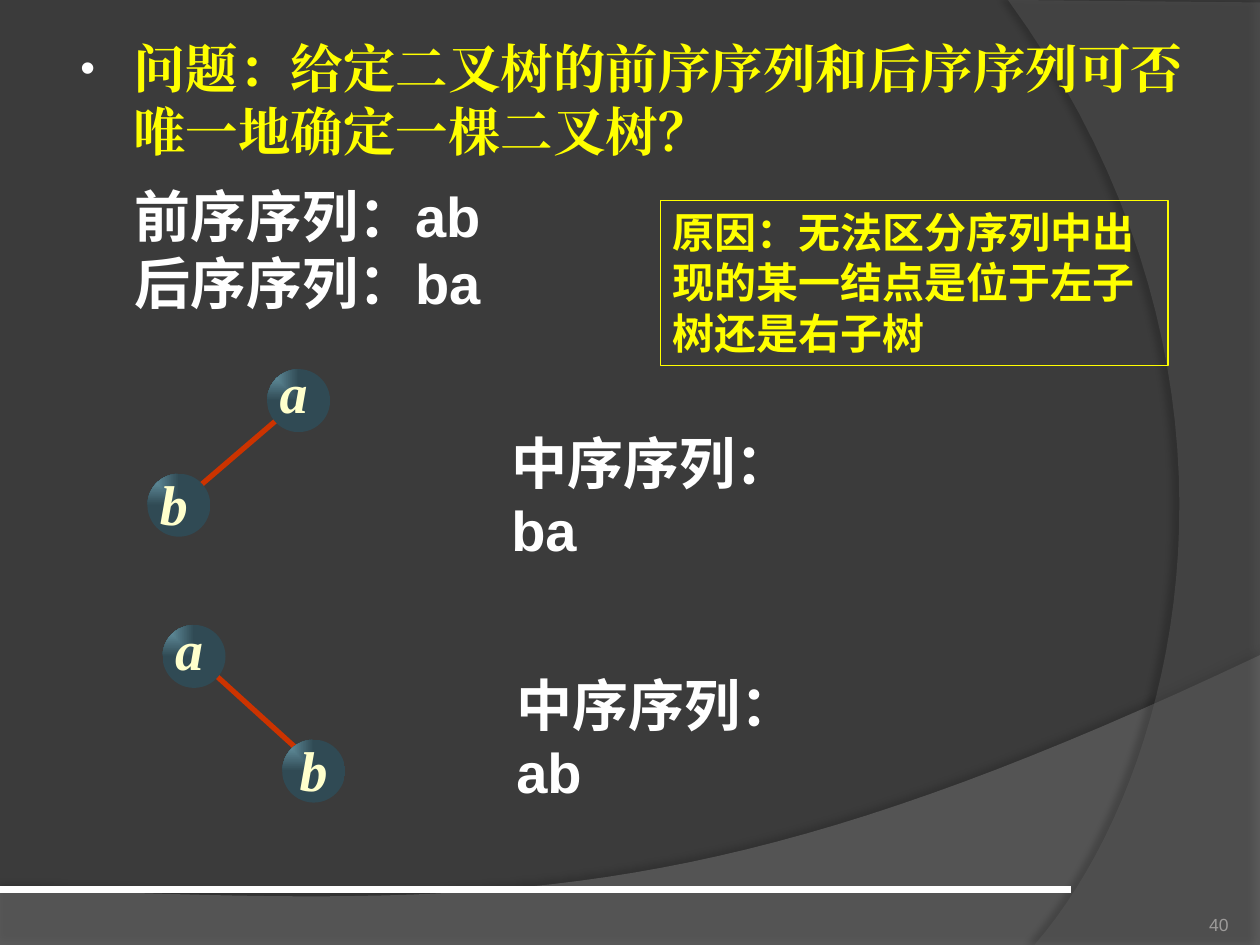
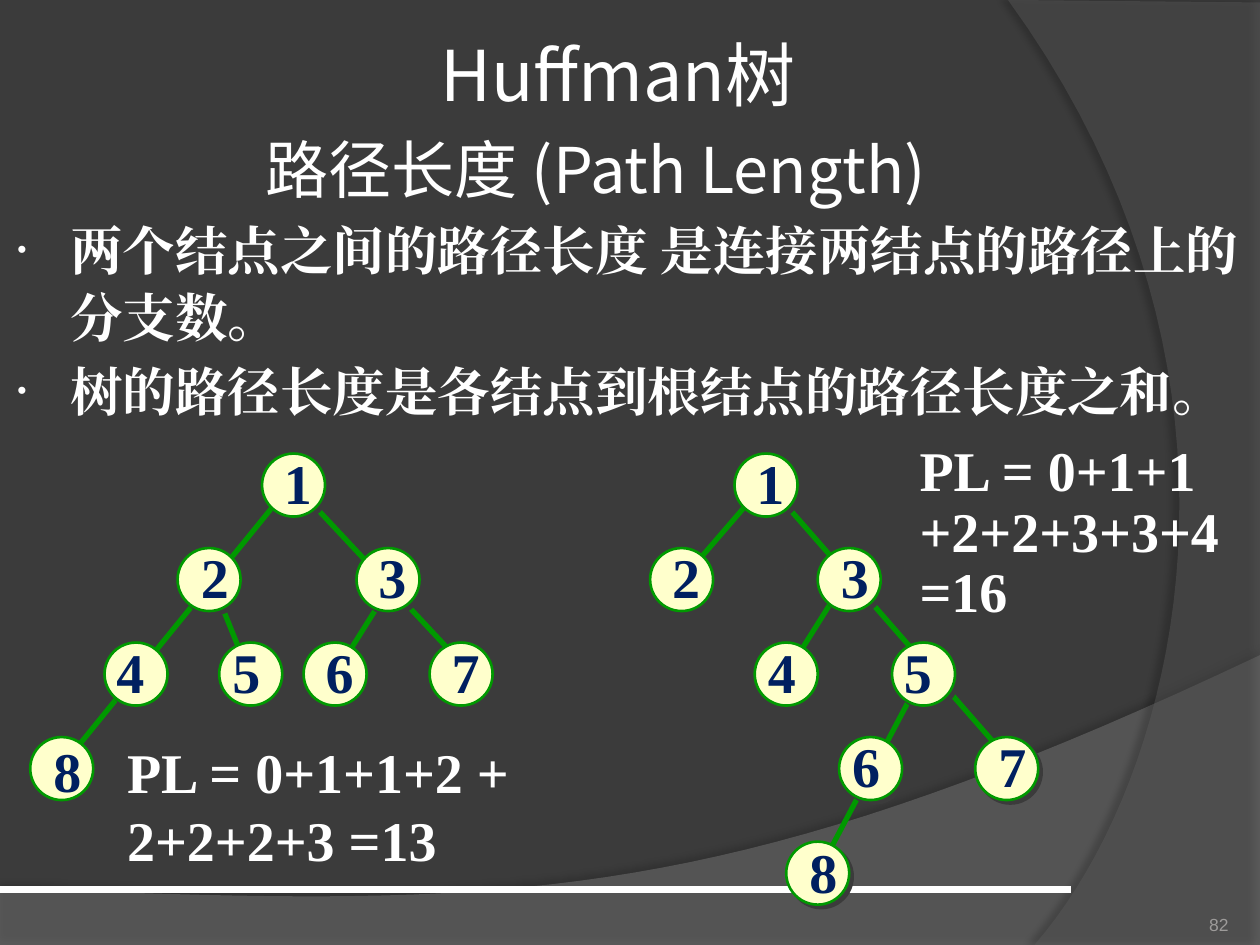
"""Build two slides on binary tree traversal and Huffman path length."""
from dataclasses import dataclass

from pptx import Presentation
from pptx.dml.color import RGBColor
from pptx.enum.lang import MSO_LANGUAGE_ID
from pptx.enum.shapes import MSO_CONNECTOR, MSO_SHAPE
from pptx.enum.text import MSO_ANCHOR, PP_ALIGN
from pptx.oxml import parse_xml
from pptx.oxml.ns import nsdecls, qn
from pptx.util import Inches, Pt

LEFT, CENTER, RIGHT = PP_ALIGN.LEFT, PP_ALIGN.CENTER, PP_ALIGN.RIGHT
TOP, MIDDLE, BOTTOM = MSO_ANCHOR.TOP, MSO_ANCHOR.MIDDLE, MSO_ANCHOR.BOTTOM
STRAIGHT, OVAL = MSO_CONNECTOR.STRAIGHT, MSO_SHAPE.OVAL
CHINESE = MSO_LANGUAGE_ID.SIMPLIFIED_CHINESE
SERIF, SANS, HEADING = "Times New Roman", "Arial", "Noto Sans CJK JP"

COLORS = {
    "background": "3B3B3B",
    "swoosh": "7F7F7F",
    "arc": "5E5E5E",
    "shade": "000000",
    "white": "FFFFFF",
    "yellow": "FFFF00",
    "cream": "FFFFCC",
    "number": "9D9B9A",
    "digit": "002060",
    "green": "009900",
    "red": "CC3300",
    "glow": "6EA0B0",
    "teal": "304A54",
}

Point = tuple[float, float]
Frame = tuple[float, float, float, float]
NODE_SIZE = 0.5
LABEL_HEIGHT = 0.63


@dataclass(frozen=True)
class TextStyle:
    size: float
    font: str
    color: str
    bold: bool = True
    italic: bool = False


@dataclass(frozen=True)
class Layout:
    align: PP_ALIGN = LEFT
    anchor: MSO_ANCHOR = TOP
    inset: bool = True
    spacing: float = 1.0
    before: float = 0
    bullet_size: int = 0


@dataclass(frozen=True)
class Shadow:
    color: str
    alpha: int
    blur: float
    distance: float
    angle: int


@dataclass(frozen=True)
class Node:
    label: str
    left: float
    top: float
    shift: float = -0.01
    rise: float = 0.09


@dataclass(frozen=True)
class Edge:
    start: Point
    end: Point


@dataclass(frozen=True)
class Tree:
    edges: list[Edge]
    nodes: list[Node]


LABEL = Layout(CENTER, MIDDLE, inset=False)
NUMBER_STYLE = TextStyle(10, SANS, "number", bold=False)
LETTER_STYLE = TextStyle(32, SERIF, "cream", italic=True)
DIGIT_STYLE = TextStyle(32, SERIF, "digit")
SEQUENCE_STYLE = TextStyle(32, SANS, "white")
SUM_STYLE = TextStyle(32, SERIF, "white")
NODE_SHADOW = Shadow("background", 100, 0, 2.8, 45)

LETTER_TREES = [
    Tree([Edge((2.27, 3.27), (1.5, 3.93))],
         [Node("a", 2.12, 2.93, 0, 0.14), Node("b", 1.17, 3.76, 0, 0.08)]),
    Tree([Edge((1.57, 5.23), (2.54, 6.11))],
         [Node("a", 1.29, 4.96, 0, 0.13), Node("b", 2.24, 5.87, 0.04, 0.08)]),
]
NUMBER_TREES = [
    Tree([Edge((3.08, 4.68), (2.66, 5.35)), Edge((1.74, 4.76), (1.91, 5.18)),
          Edge((2.49, 4.01), (3.66, 5.26)), Edge((2.24, 3.93), (0.41, 6.18))],
         [Node("1", 2.08, 3.6), Node("2", 1.41, 4.35, 0), Node("3", 2.83, 4.35),
          Node("4", 0.83, 5.1, -0.09), Node("5", 1.74, 5.1, -0.08),
          Node("6", 2.41, 5.1), Node("7", 3.41, 5.1),
          Node("8", 0.24, 5.85, 0, 0.05)]),
    Tree([Edge((6.66, 4.68), (6.24, 5.35)), Edge((7.24, 5.51), (6.58, 6.76)),
          Edge((6.24, 4.01), (7.99, 6.01)), Edge((5.99, 3.93), (5.49, 4.51))],
         [Node("1", 5.83, 3.6), Node("2", 5.16, 4.35), Node("3", 6.49, 4.35, 0),
          Node("4", 5.99, 5.1, -0.08), Node("5", 7.08, 5.1, -0.09),
          Node("6", 6.66, 5.85, -0.08), Node("7", 7.74, 5.85, 0),
          Node("8", 6.24, 6.68, 0, 0.08)]),
]


def rgb(name: str) -> RGBColor:
    return RGBColor.from_string(COLORS[name])


def add_bullet(para, percent: int) -> None:
    props = para._p.get_or_add_pPr()
    props.set("marL", str(Inches(0.46)))
    props.set("indent", str(Inches(-0.42)))
    names = nsdecls("a")
    for xml in (
        f'<a:buClr {names}><a:srgbClr val="{COLORS["white"]}"/></a:buClr>',
        f'<a:buSzPct {names} val="{percent * 1000}"/>',
        f'<a:buFont {names} typeface="{SANS}"/>',
        f'<a:buChar {names} char="•"/>',
    ):
        props.append(parse_xml(xml))


def format_span(span, style: TextStyle) -> None:
    font = span.font
    font.size, font.name = Pt(style.size), style.font
    font.bold, font.italic = style.bold, style.italic
    font.color.rgb = rgb(style.color)
    font.language_id = CHINESE
    latin = span._r.rPr.find(qn("a:latin"))
    latin.addnext(parse_xml(f'<a:ea {nsdecls("a")} typeface="{style.font}"/>'))


def add_text(page, frame: Frame, text: str, style: TextStyle,
             layout: Layout = Layout()):
    box = page.shapes.add_textbox(*map(Inches, frame))
    body = box.text_frame
    body.text = text
    body.word_wrap = True
    body.vertical_anchor = layout.anchor
    if not layout.inset:
        body.margin_left = body.margin_right = 0
        body.margin_top = body.margin_bottom = 0
    for index, para in enumerate(body.paragraphs):
        if layout.bullet_size:
            add_bullet(para, layout.bullet_size)
        para.alignment = layout.align
        para.line_spacing = layout.spacing
        if index:
            para.space_before = Pt(layout.before)
        for span in para.runs:
            format_span(span, style)
    return box


def add_shadow(shape, shadow: Shadow) -> None:
    shape.shadow.inherit = False
    effects = shape._element.spPr.find(qn("a:effectLst"))
    effects.append(parse_xml(
        f'<a:outerShdw {nsdecls("a")} blurRad="{Pt(shadow.blur)}" '
        f'dist="{Pt(shadow.distance)}" dir="{shadow.angle * 60000}" '
        f'algn="ctr" rotWithShape="0"><a:srgbClr val="{COLORS[shadow.color]}">'
        f'<a:alpha val="{shadow.alpha * 1000}"/></a:srgbClr></a:outerShdw>'))


def add_line(page, edge: Edge, color: str, width: float) -> None:
    ends = map(Inches, (*edge.start, *edge.end))
    line = page.shapes.add_connector(STRAIGHT, *ends)
    line.line.color.rgb = rgb(color)
    line.line.width = Pt(width)
    line._element.spPr.append(parse_xml(f'<a:effectLst {nsdecls("a")}/>'))


def curve(start: Point, first: Point, second: Point, end: Point,
          steps: int = 40) -> list[Point]:
    points = []
    for step in range(steps + 1):
        t = step / steps
        weights = ((1 - t) ** 3, 3 * t * (1 - t) ** 2, 3 * t * t * (1 - t), t ** 3)
        points.append(tuple(
            sum(weight * value for weight, value in zip(weights, values))
            for values in zip(start, first, second, end)))
    return points


def add_band(page, points: list[Point], color: str, alpha: int,
             shadow: Shadow) -> None:
    corners = [(Inches(x), Inches(y)) for x, y in points]
    builder = page.shapes.build_freeform(*corners[0])
    builder.add_line_segments(corners[1:], close=True)
    band = builder.convert_to_shape()
    band.fill.solid()
    band.fill.fore_color.rgb = rgb(color)
    solid = band._element.spPr.find(qn("a:solidFill"))
    solid[0].append(parse_xml(
        f'<a:alpha {nsdecls("a")} val="{alpha * 1000}"/>'))
    band.line.fill.background()
    add_shadow(band, shadow)


def add_page(deck, number: str):
    page = deck.slides.add_slide(deck.slide_layouts[6])
    page.background.fill.solid()
    page.background.fill.fore_color.rgb = rgb("background")
    swoosh = curve((10, 5.2), (5.59, 7.29), (3.91, 7.19), (0, 7.05))
    add_band(page, [(0, 7.5), (10, 7.5), *swoosh], "swoosh", 45,
             Shadow("shade", 35, 4, 3.5, 270))
    arc = curve((8.21, 7.5), (9.35, 6.19), (10.18, 3), (8, 0))
    add_band(page, [(10, 0.02), (10, 7.5), *arc], "arc", 40,
             Shadow("shade", 45, 4, 4, 180))
    add_line(page, Edge((0, 7.06), (8.5, 7.06)), "white", 4.5)
    add_text(page, (8.92, 7.02, 0.83, 0.4), number, NUMBER_STYLE,
             Layout(RIGHT, BOTTOM, inset=False))
    return page


def fill_letter_node(circle) -> None:
    circle.fill.gradient()
    for stop, color in zip(circle.fill.gradient_stops, ("glow", "teal")):
        stop.color.rgb = rgb(color)
    gradient = circle._element.spPr.find(qn("a:gradFill"))
    gradient.remove(gradient.find(qn("a:lin")))
    gradient.append(parse_xml(
        f'<a:path {nsdecls("a")} path="rect">'
        '<a:fillToRect r="100000" b="100000"/></a:path>'))
    circle.line.fill.background()
    circle.shadow.inherit = False


def fill_number_node(circle) -> None:
    circle.fill.solid()
    circle.fill.fore_color.rgb = rgb("cream")
    circle.line.color.rgb = rgb("green")
    circle.line.width = Pt(1.5)
    add_shadow(circle, NODE_SHADOW)


def add_tree(page, tree: Tree, edge_color: str, fill_node, style: TextStyle,
             label_width: float) -> None:
    for edge in tree.edges:
        add_line(page, edge, edge_color, 3)
    for node in tree.nodes:
        frame = (node.left, node.top, NODE_SIZE, NODE_SIZE)
        fill_node(page.shapes.add_shape(OVAL, *map(Inches, frame)))
    for node in tree.nodes:
        frame = (node.left + node.shift, node.top - node.rise,
                 label_width, LABEL_HEIGHT)
        add_text(page, frame, node.label, style, LABEL)


def build_traversal_page(deck) -> None:
    page = add_page(deck, "40")
    add_text(page, (0.5, 0.24, 9.17, 1.1),
             "问题：给定二叉树的前序序列和后序序列可否唯一地确定一棵二叉树？",
             TextStyle(30, SERIF, "yellow"), Layout(bullet_size=80))
    for tree in LETTER_TREES:
        add_tree(page, tree, "red", fill_letter_node, LETTER_STYLE, 0.42)
    add_text(page, (0.97, 1.39, 4.99, 1.18), "前序序列：ab\n后序序列：ba",
             SEQUENCE_STYLE)
    add_text(page, (3.96, 3.35, 2.5, 1.18), "中序序列：ba", SEQUENCE_STYLE)
    add_text(page, (4, 5.27, 2.5, 1.18), "中序序列：ab", SEQUENCE_STYLE)
    reason = add_text(page, (5.24, 1.59, 4.03, 1.31),
                      "原因：无法区分序列中出现的某一结点是位于左子树还是右子树",
                      TextStyle(24, SANS, "yellow"))
    reason.line.color.rgb = rgb("yellow")
    reason.line.width = Pt(0.75)


def build_huffman_page(deck) -> None:
    page = add_page(deck, "82")
    add_text(page, (1.57, 0.21, 6.67, 0.75), "Huffman树",
             TextStyle(40, HEADING, "white", bold=False), Layout(CENTER, MIDDLE))
    add_text(page, (0.67, 0.99, 8.12, 0.7), "路径长度 (Path Length)",
             TextStyle(36, HEADING, "white", bold=False), Layout(CENTER))
    add_text(page, (0, 1.66, 10, 1.75),
             "两个结点之间的路径长度 是连接两结点的路径上的分支数。\n"
             "树的路径长度是各结点到根结点的路径长度之和。",
             TextStyle(30, SERIF, "white"),
             Layout(spacing=1.05, before=4.5, bullet_size=50))
    for tree in NUMBER_TREES:
        add_tree(page, tree, "green", fill_number_node, DIGIT_STYLE, 0.59)
    add_text(page, (0.91, 5.8, 3.31, 1.18), "PL = 0+1+1+2 + 2+2+2+3 =13",
             SUM_STYLE, Layout(anchor=MIDDLE))
    add_text(page, (7.2, 3.46, 2.8, 1.56), "PL = 0+1+1 +2+2+3+3+4 =16",
             SUM_STYLE, Layout(anchor=MIDDLE, spacing=0.9))


def main() -> None:
    deck = Presentation()
    deck.slide_width, deck.slide_height = Inches(10), Inches(7.5)
    build_traversal_page(deck)
    build_huffman_page(deck)
    deck.save("out.pptx")


if __name__ == "__main__":
    main()
